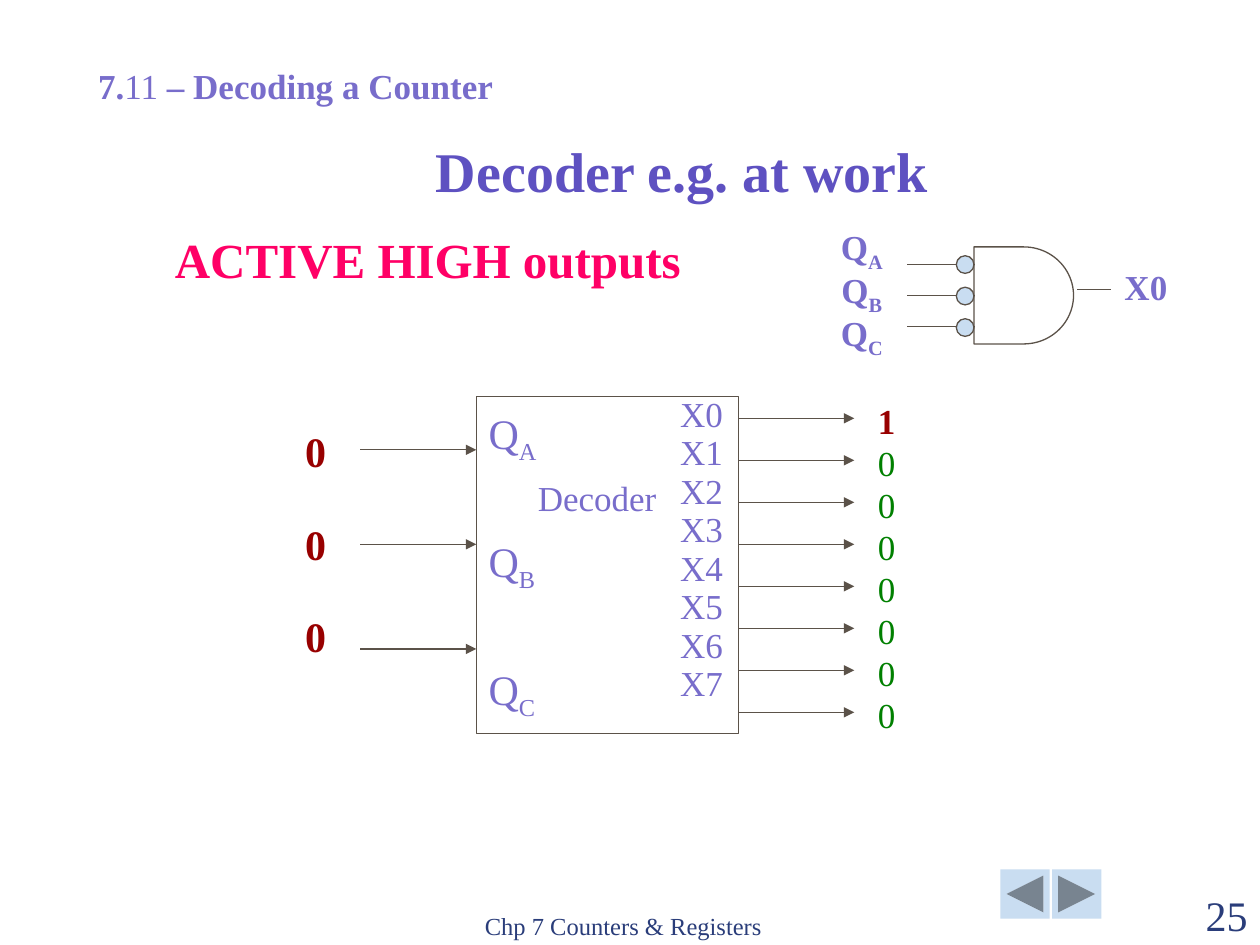
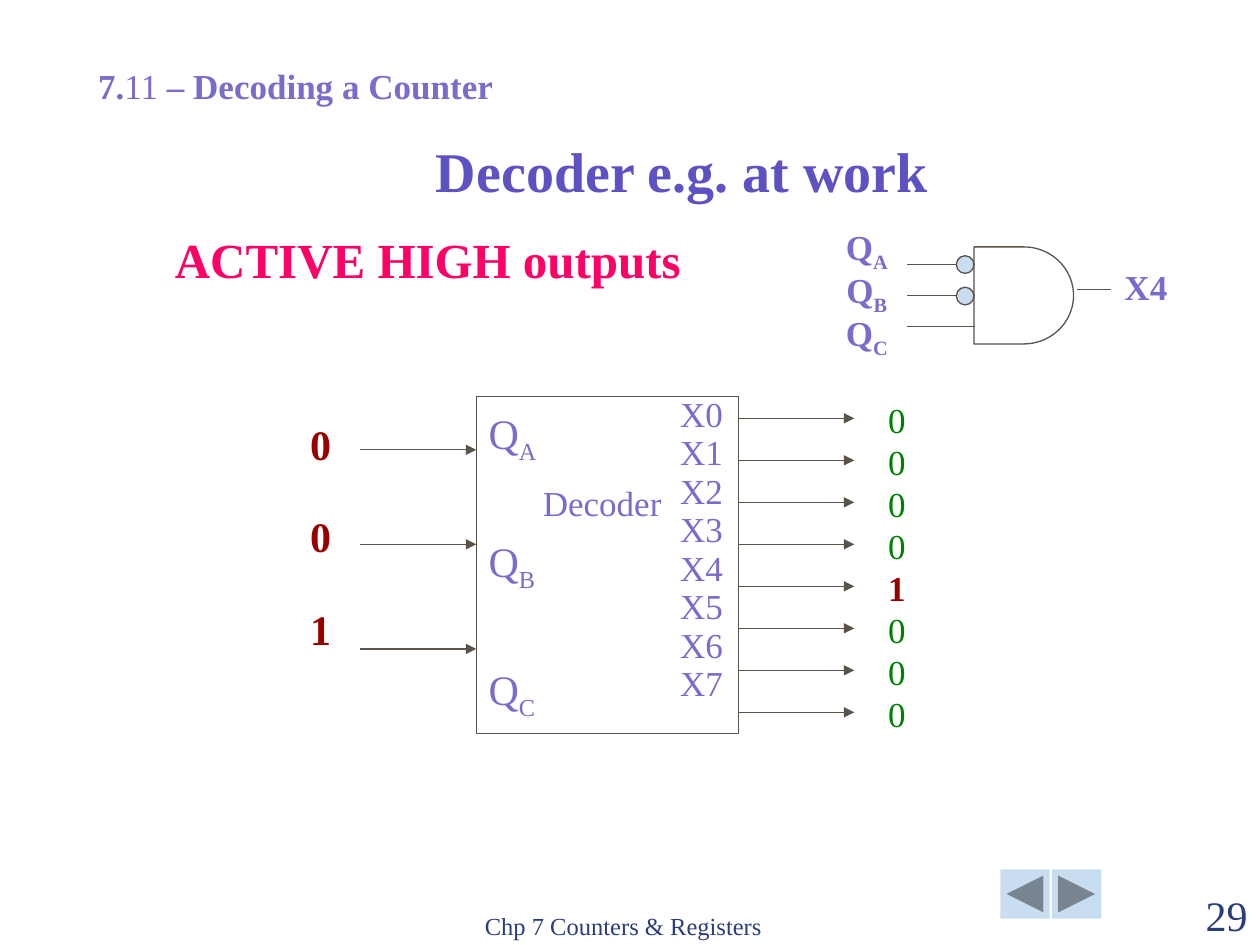
"""Build two slides that show a 3-to-8 decoder with active-high outputs at work."""
from dataclasses import dataclass
from typing import NamedTuple, Optional

from lxml.etree import SubElement
from pptx import Presentation
from pptx.dml.color import RGBColor
from pptx.enum.shapes import MSO_CONNECTOR as Connector
from pptx.enum.shapes import MSO_SHAPE as Preset
from pptx.enum.text import MSO_ANCHOR as Anchor
from pptx.enum.text import PP_ALIGN as Align
from pptx.oxml.ns import qn
from pptx.slide import Slide
from pptx.util import Inches, Pt


@dataclass(frozen=True)
class Theme:
    font: str = "Times New Roman"
    title: str = "5E51C1"
    label: str = "786DCB"
    footer: str = "2A3D7A"
    accent: str = "FF0066"
    high: str = "980000"
    low: str = "008000"
    line: str = "5B5249"
    pale: str = "C9DDF1"
    title_size: int = 32
    subtitle_size: int = 28
    large_size: int = 24
    body_size: int = 20
    footer_size: int = 14
    line_width: float = 0.75


THEME = Theme()


class Box(NamedTuple):
    left: float
    top: float
    width: float
    height: float


class Piece(NamedTuple):
    text: str
    color: str = THEME.label
    size: int = THEME.body_size
    bold: bool = False
    subscript: bool = False


class Flow(NamedTuple):
    align: Align = Align.LEFT
    anchor: Anchor = Anchor.TOP
    line_points: Optional[float] = None
    gap_points: float = 0


@dataclass(frozen=True)
class DecoderState:
    page: str
    code: int
    decoder_name: Box
    inputs: Box
    outputs: Box
    gate_labels: Box

    @property
    def bits(self) -> list[int]:
        return [self.code >> place & 1 for place in range(3)]


STATES = [
    DecoderState("25", 0, Box(4.17, 3.73, 1.2, 0.43), Box(2.22, 3.33, 0.57, 2.1),
                 Box(6.87, 3.12, 0.43, 2.77), Box(6.49, 1.78, 0.7, 1)),
    DecoderState("29", 4, Box(4.21, 3.77, 1.2, 0.43), Box(2.26, 3.27, 0.57, 2.1),
                 Box(6.95, 3.11, 0.43, 2.77), Box(6.53, 1.78, 0.7, 1)),
]
INPUT_NAMES = "ABC"
OUTPUT_COUNT = 8
DECODER = Box(3.78, 3.15, 2.08, 2.67)
ARROW_LENGTH = 0.92


def add_text(slide: Slide, box: Box, lines: list[list[Piece]], flow: Flow = Flow()) -> None:
    """Place paragraphs of formatted runs in a text box."""
    frame = slide.shapes.add_textbox(*map(Inches, box)).text_frame
    frame.word_wrap = True
    frame.vertical_anchor = flow.anchor
    for index, pieces in enumerate(lines):
        paragraph = frame.add_paragraph() if index else frame.paragraphs[0]
        paragraph.alignment = flow.align
        if flow.line_points:
            paragraph.line_spacing = Pt(flow.line_points)
        if index:
            paragraph.space_before = Pt(flow.gap_points)
        for piece in pieces:
            run = paragraph.add_run()
            run.text = piece.text
            run.font.name = THEME.font
            run.font.size = Pt(piece.size)
            run.font.bold = piece.bold
            run.font.color.rgb = RGBColor.from_string(piece.color)
            if piece.subscript:
                run._r.get_or_add_rPr().set("baseline", "-25000")


def add_figure(slide: Slide, preset: Preset, box: Box, fill: Optional[str] = None,
               outlined: bool = True) -> None:
    """Draw a preset shape with an optional fill and outline."""
    shape = slide.shapes.add_shape(preset, *map(Inches, box))
    shape.shadow.inherit = False
    if fill:
        shape.fill.solid()
        shape.fill.fore_color.rgb = RGBColor.from_string(fill)
    else:
        shape.fill.background()
    if outlined:
        shape.line.color.rgb = RGBColor.from_string(THEME.line)
        shape.line.width = Pt(THEME.line_width)
    else:
        shape.line.fill.background()


def add_wire(slide: Slide, left: float, right: float, height: float, arrow: bool = False) -> None:
    """Draw a horizontal wire, with an arrowhead at its right end if asked."""
    wire = slide.shapes.add_connector(
        Connector.STRAIGHT, Inches(left), Inches(height), Inches(right), Inches(height))
    wire.line.color.rgb = RGBColor.from_string(THEME.line)
    wire.line.width = Pt(THEME.line_width)
    if arrow:
        SubElement(wire.line._get_or_add_ln(), qn("a:tailEnd"), type="triangle")
    SubElement(wire._element.spPr, qn("a:effectLst"))


def input_labels(size: int, bold: bool) -> list[list[Piece]]:
    """Return the three Q labels with their subscripts."""
    return [[Piece("Q", size=size, bold=bold),
             Piece(name, size=size, bold=bold, subscript=True)] for name in INPUT_NAMES]


def add_frame(slide: Slide, page: str) -> None:
    """Draw the headings, navigation buttons and footer."""
    for left, preset in ((7.94, Preset.ACTION_BUTTON_BACK_OR_PREVIOUS),
                         (8.35, Preset.ACTION_BUTTON_FORWARD_OR_NEXT)):
        add_figure(slide, preset, Box(left, 6.9, 0.39, 0.39), THEME.pale, outlined=False)
    add_text(slide, Box(3.75, 7.01, 3.17, 0.5),
             [[Piece("Chp 7 Counters & Registers", THEME.footer, THEME.footer_size)]],
             Flow(anchor=Anchor.BOTTOM))
    add_text(slide, Box(9, 7.01, 1, 0.5), [[Piece(page, THEME.footer, THEME.large_size)]],
             Flow(Align.RIGHT, Anchor.BOTTOM))
    add_text(slide, Box(0.83, 1, 9.17, 0.67),
             [[Piece("Decoder e.g. at work", THEME.title, THEME.title_size, True)]],
             Flow(Align.CENTER, Anchor.BOTTOM))
    add_text(slide, Box(0.68, 0.46, 3.48, 0.43),
             [[Piece("7.", bold=True), Piece("11"), Piece(" – Decoding a Counter", bold=True)]])
    add_text(slide, Box(1.29, 1.88, 4.83, 0.47),
             [[Piece("ACTIVE HIGH outputs", THEME.accent, THEME.subtitle_size, True)]],
             Flow(line_points=26))


def add_decoder(slide: Slide, state: DecoderState) -> None:
    """Draw the decoder block with its inputs, outputs and their values."""
    add_figure(slide, Preset.RECTANGLE, DECODER)
    right = DECODER.left + DECODER.width
    for height in (3.57, 4.32, 5.15):
        add_wire(slide, DECODER.left - ARROW_LENGTH, DECODER.left, height, arrow=True)
    for index in range(OUTPUT_COUNT):
        add_wire(slide, right, right + ARROW_LENGTH, 3.32 + index / 3, arrow=True)
    add_text(slide, Box(3.78, 3.3, 0.8, 2.07), input_labels(THEME.large_size, False),
             Flow(line_points=24.6, gap_points=48.6))
    add_text(slide, state.decoder_name, [[Piece("Decoder")]])
    add_text(slide, Box(5.3, 3.23, 0.7, 2.6),
             [[Piece(f"X{index}")] for index in range(OUTPUT_COUNT)],
             Flow(line_points=12, gap_points=10))
    add_text(slide, state.inputs,
             [[Piece(str(bit), THEME.high, THEME.large_size, True)] for bit in state.bits],
             Flow(Align.CENTER, line_points=28.8, gap_points=24))
    add_text(slide, state.outputs,
             [[Piece("1", THEME.high, bold=True) if index == state.code
               else Piece("0", THEME.low)] for index in range(OUTPUT_COUNT)],
             Flow(line_points=24))


def add_gate(slide: Slide, state: DecoderState) -> None:
    """Draw the AND gate of the active output, with a bubble on each low input."""
    add_figure(slide, Preset.FLOWCHART_DELAY, Box(7.73, 1.96, 0.79, 0.77))
    add_wire(slide, 8.55, 8.82, 2.3)
    for index, bit in enumerate(state.bits):
        add_wire(slide, 7.2, 7.74, 2.1 + 0.245 * index)
        if not bit:
            add_figure(slide, Preset.OVAL, Box(7.59, 2.03 + 0.25 * index, 0.14, 0.14), THEME.pale)
    add_text(slide, state.gate_labels, input_labels(THEME.body_size, True),
             Flow(Align.CENTER, line_points=24.6))
    add_text(slide, Box(8.76, 2.06, 0.67, 0.43), [[Piece(f"X{state.code}", bold=True)]],
             Flow(Align.CENTER))


def main() -> None:
    """Build and save the presentation."""
    presentation = Presentation()
    presentation.slide_width = Inches(10)
    presentation.slide_height = Inches(7.5)
    for state in STATES:
        slide = presentation.slides.add_slide(presentation.slide_layouts[6])
        add_frame(slide, state.page)
        add_decoder(slide, state)
        add_gate(slide, state)
    presentation.save("out.pptx")


if __name__ == "__main__":
    main()
